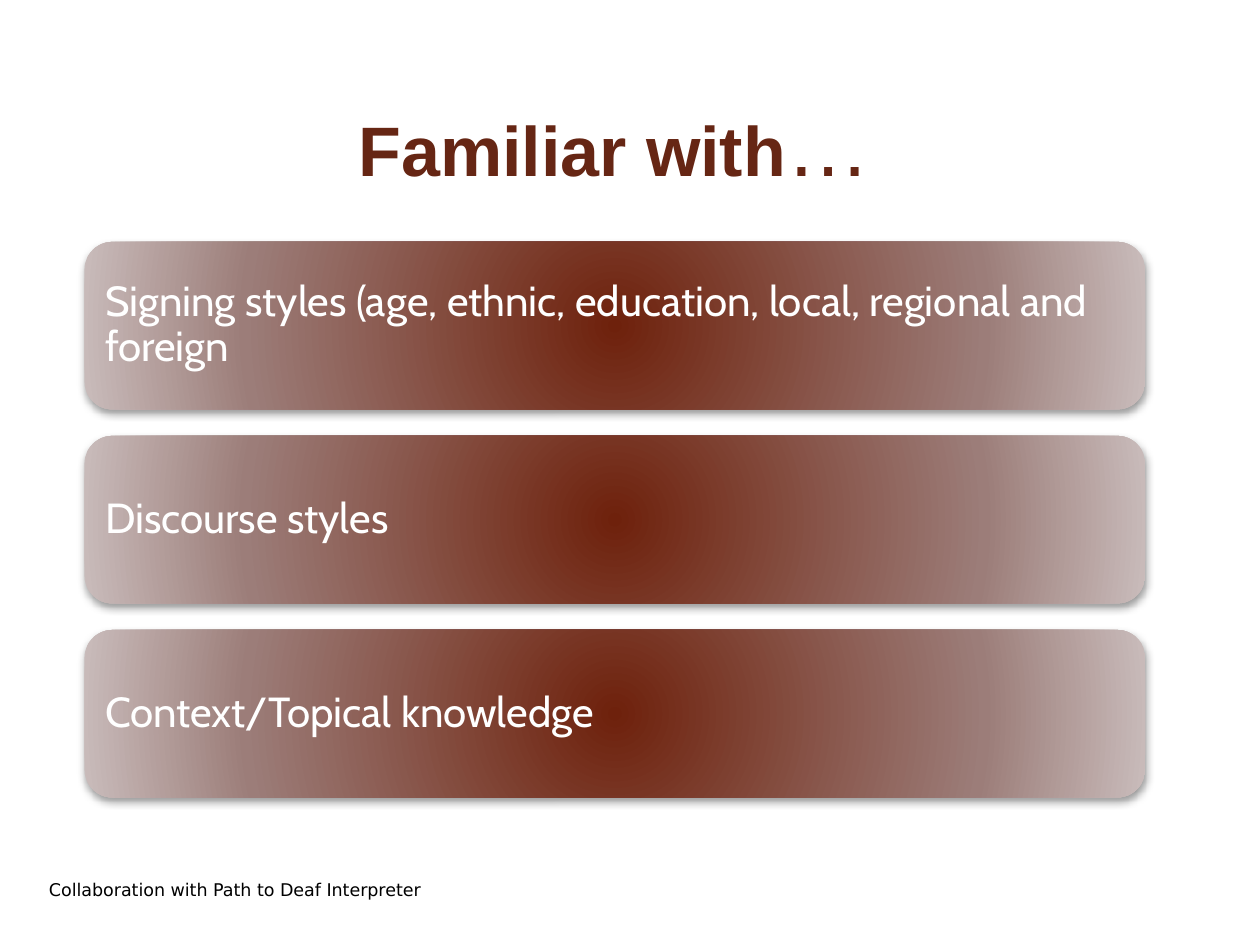
from dataclasses import dataclass

from lxml import etree
from pptx import Presentation
from pptx.enum.shapes import MSO_SHAPE
from pptx.enum.text import MSO_ANCHOR, PP_ALIGN
from pptx.oxml import parse_xml
from pptx.oxml.ns import nsdecls
from pptx.util import Inches, Pt

ROUNDED = MSO_SHAPE.ROUNDED_RECTANGLE
LEFT, CENTER = PP_ALIGN.LEFT, PP_ALIGN.CENTER
MIDDLE, BOTTOM = MSO_ANCHOR.MIDDLE, MSO_ANCHOR.BOTTOM

COLORS = {
    "title": "662614",
    "footer": "000000",
    "bar_text": "FFFFFF",
    "bar_core": "6E210C",
    "bar_middle": "9C7D79",
    "bar_edge": "C9BCBB",
    "shadow": "000000",
}
GRADIENT_STOPS = ((0, "bar_core"), (69, "bar_middle"), (100, "bar_edge"))

# One column of bars, in inches
BAR_LEFT, BAR_TOP = 0.67, 1.92
BAR_WIDTH, BAR_HEIGHT = 8.42, 1.33
ROW_PITCH = 1.54
TEXT_MARGIN = 0.065
TOPICS = (
    "Signing styles (age, ethnic, education, local, regional and foreign",
    "Discourse styles",
    "Context/Topical knowledge",
)


@dataclass(frozen=True)
class Box:
    left: float
    top: float
    width: float
    height: float

    def lengths(self) -> tuple:
        return tuple(Inches(v) for v in (self.left, self.top, self.width, self.height))

    def shrink(self, margin: float) -> "Box":
        return Box(self.left + margin, self.top + margin,
                   self.width - 2 * margin, self.height - 2 * margin)


@dataclass(frozen=True)
class Run:
    text: str
    size: float
    bold: bool = False


def add_text(shapes, box: Box, *runs: Run, font: str, color: str, anchor=MIDDLE,
             align=LEFT, inset: float = 0.05, line_spacing: float = 1.0) -> None:
    """Add a wrapping text box with one paragraph of formatted runs."""
    frame = shapes.add_textbox(*box.lengths()).text_frame
    frame.word_wrap = True
    frame.vertical_anchor = anchor
    frame.margin_top = frame.margin_bottom = Inches(inset)
    paragraph = frame.paragraphs[0]
    paragraph.alignment = align
    paragraph.line_spacing = line_spacing
    for item in runs:
        run = paragraph.add_run()
        run.text = item.text
        run.font.name = font
        run.font.size = Pt(item.size)
        run.font.bold = item.bold
        run.font.color.rgb = rgb(color)


def rgb(name: str):
    from pptx.dml.color import RGBColor
    return RGBColor.from_string(COLORS[name])


def style_bar(shape) -> None:
    """Give a bar its circular gradient and soft shadow."""
    shape.line.fill.background()
    properties = shape.fill._xPr
    stops = "".join(
        f'<a:gs pos="{position * 1000}"><a:srgbClr val="{COLORS[name]}"/></a:gs>'
        for position, name in GRADIENT_STOPS)
    gradient = parse_xml(
        f'<a:gradFill {nsdecls("a")} rotWithShape="1"><a:gsLst>{stops}</a:gsLst>'
        '<a:path path="circle"><a:fillToRect l="100000" t="100000" r="100000" '
        'b="100000"/></a:path></a:gradFill>')
    properties.insert(2, gradient)  # after the transform and the geometry
    shadow = parse_xml(
        f'<a:effectLst {nsdecls("a")}><a:outerShdw blurRad="{Pt(5)}" dist="{Pt(2)}" '
        f'dir="5400000" rotWithShape="0"><a:srgbClr val="{COLORS["shadow"]}">'
        '<a:alpha val="40000"/></a:srgbClr></a:outerShdw></a:effectLst>')
    properties.append(shadow)


def add_bar(shapes, row: int, topic: str) -> None:
    box = Box(BAR_LEFT, BAR_TOP + row * ROW_PITCH, BAR_WIDTH, BAR_HEIGHT)
    style_bar(shapes.add_shape(ROUNDED, *box.lengths()))
    add_text(shapes, box.shrink(TEXT_MARGIN), Run(topic, 24), font="Cabin",
             color="bar_text", inset=0.1, line_spacing=0.9)


def main() -> None:
    presentation = Presentation()
    presentation.slide_width, presentation.slide_height = Inches(10), Inches(7.5)
    slide = presentation.slides.add_slide(presentation.slide_layouts[6])

    # Footer
    add_text(slide.shapes, Box(0.29, 6.86, 5.29, 0.4),
             Run("Collaboration with Path to Deaf Interpreter", 10),
             font="DejaVu Sans", color="footer")

    # Title
    add_text(slide.shapes, Box(0.25, 0, 9.25, 1.58),
             Run("Familiar with", 40, bold=True), Run("…", 48),
             font="Arial", color="title", anchor=BOTTOM, align=CENTER)

    # Grouped list of topics
    group = slide.shapes.add_group_shape()
    for row, topic in enumerate(TOPICS):
        add_bar(group.shapes, row, topic)

    presentation.save("out.pptx")


if __name__ == "__main__":
    main()
